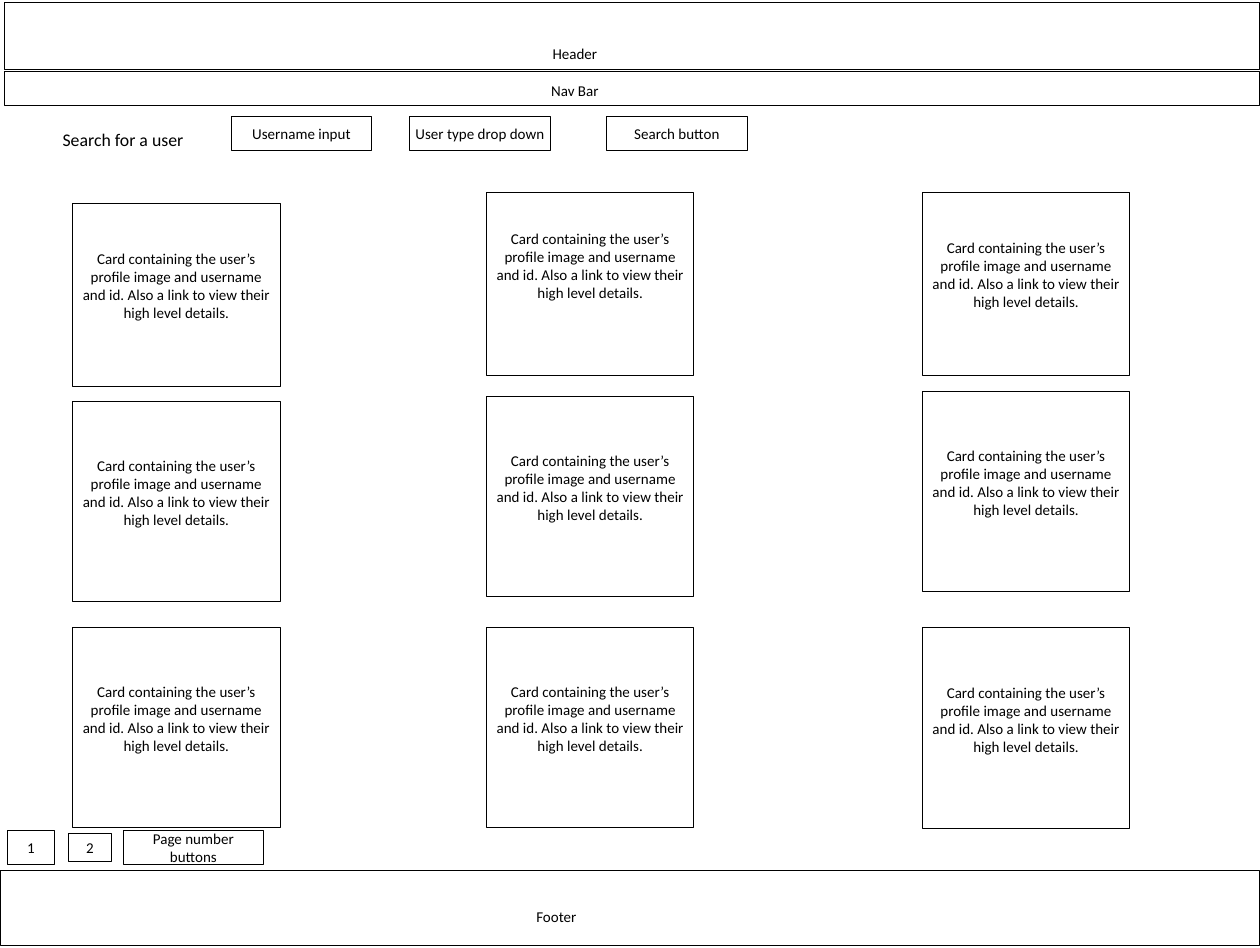
from dataclasses import dataclass

import pptx
import pptx.dml.color
import pptx.enum.shapes
import pptx.enum.text
import pptx.util

Inches = pptx.util.Inches
Anchor = pptx.enum.text.MSO_ANCHOR

INK = "000000"
FONT = "Calibri"
SIZE = 15.2
LINE = 0.26  # height of one text line, inches
CARD = ("Card containing the user’s profile image and username and id. "
        "Also a link to view their high level details.")


@dataclass
class Box:
    left: float
    top: float
    width: float
    height: float
    text: str = ""
    lift: int = 0  # text lines kept free below the text


def color(code: str) -> pptx.dml.color.RGBColor:
    return pptx.dml.color.RGBColor.from_string(code)


def place(shape, box: Box) -> None:
    shape.left, shape.top = Inches(box.left), Inches(box.top)
    shape.width, shape.height = Inches(box.width), Inches(box.height)


def write(shape, text: str, *, size: float = SIZE, anchor=Anchor.MIDDLE,
          wrap: bool = True, side: float = 0.08, edge: float = 0.04,
          lift: int = 0) -> None:
    frame = shape.text_frame
    frame.text = text
    frame.word_wrap = wrap
    frame.auto_size = pptx.enum.text.MSO_AUTO_SIZE.NONE
    frame.vertical_anchor = anchor
    frame.margin_left = frame.margin_right = Inches(side)
    frame.margin_top = Inches(edge)
    frame.margin_bottom = Inches(edge + lift * LINE)
    para = frame.paragraphs[0]
    para.alignment = pptx.enum.text.PP_ALIGN.CENTER
    font = para.runs[0].font
    font.name, font.size = FONT, pptx.util.Pt(size)
    font.color.rgb = color(INK)


def frame_box(slide, box: Box) -> None:
    """Draw an outlined box with its centred text, if any."""
    shape = slide.shapes.add_shape(
        pptx.enum.shapes.MSO_SHAPE.RECTANGLE, Inches(box.left),
        Inches(box.top), Inches(box.width), Inches(box.height))
    shape.shadow.inherit = False
    shape.fill.background()
    shape.line.color.rgb = color(INK)
    shape.line.width = pptx.util.Pt(1)
    if box.text:
        write(shape, box.text, lift=box.lift)


def label(slide, box: Box) -> None:
    shape = slide.shapes.add_textbox(0, 0, 0, 0)
    place(shape, box)
    write(shape, box.text, anchor=Anchor.TOP, side=0.1, edge=0.05)


BANDS = [
    Box(0.07, 0.04, 17.65, 0.94),
    Box(0.07, 1, 17.65, 0.48),
    Box(0, 12.24, 17.72, 1.05),
]
LABELS = [
    Box(5.6, 0.57, 4.97, 0.36, "Header"),
    Box(5.6, 1.09, 4.97, 0.36, "Nav Bar"),
    Box(5.34, 12.71, 4.97, 0.36, "Footer"),
]
# Each column: left edge, then the top of every card in it
COLUMNS = [
    (1.02, (2.86, 5.64, 8.82)),
    (6.84, (2.71, 5.57, 8.82)),
    (12.97, (2.71, 5.5, 8.83)),
]
HEIGHTS = (2.57, 2.82, 2.82)
CARDS = [Box(left, top, 2.92, high, CARD, lift=1)
         for left, tops in COLUMNS for top, high in zip(tops, HEIGHTS)]
CARDS[3].lift = 2
SEARCH = [Box(left, 1.64, 1.98, 0.48, text) for left, text in (
    (3.25, "Username input"),
    (5.76, "User type drop down"),
    (8.53, "Search button"),
)]
PAGES = [
    Box(0.1, 11.68, 0.67, 0.48, "1"),
    Box(0.96, 11.72, 0.61, 0.4, "2"),
    Box(1.73, 11.68, 1.98, 0.48, "Page number buttons"),
]


def main() -> None:
    deck = pptx.Presentation()
    deck.slide_width, deck.slide_height = Inches(17.72), Inches(13.33)
    slide = deck.slides.add_slide(deck.slide_layouts.get_by_name("Title Only"))

    title = slide.shapes.title
    place(title, Box(0.77, 1.76, 1.92, 0.4))
    write(title, "Search for a user", size=18, anchor=Anchor.TOP,
          wrap=False, side=0.1, edge=0.05)

    for box in BANDS + CARDS + SEARCH + PAGES:
        frame_box(slide, box)
    for box in LABELS:
        label(slide, box)
    deck.save("out.pptx")


if __name__ == "__main__":
    main()
